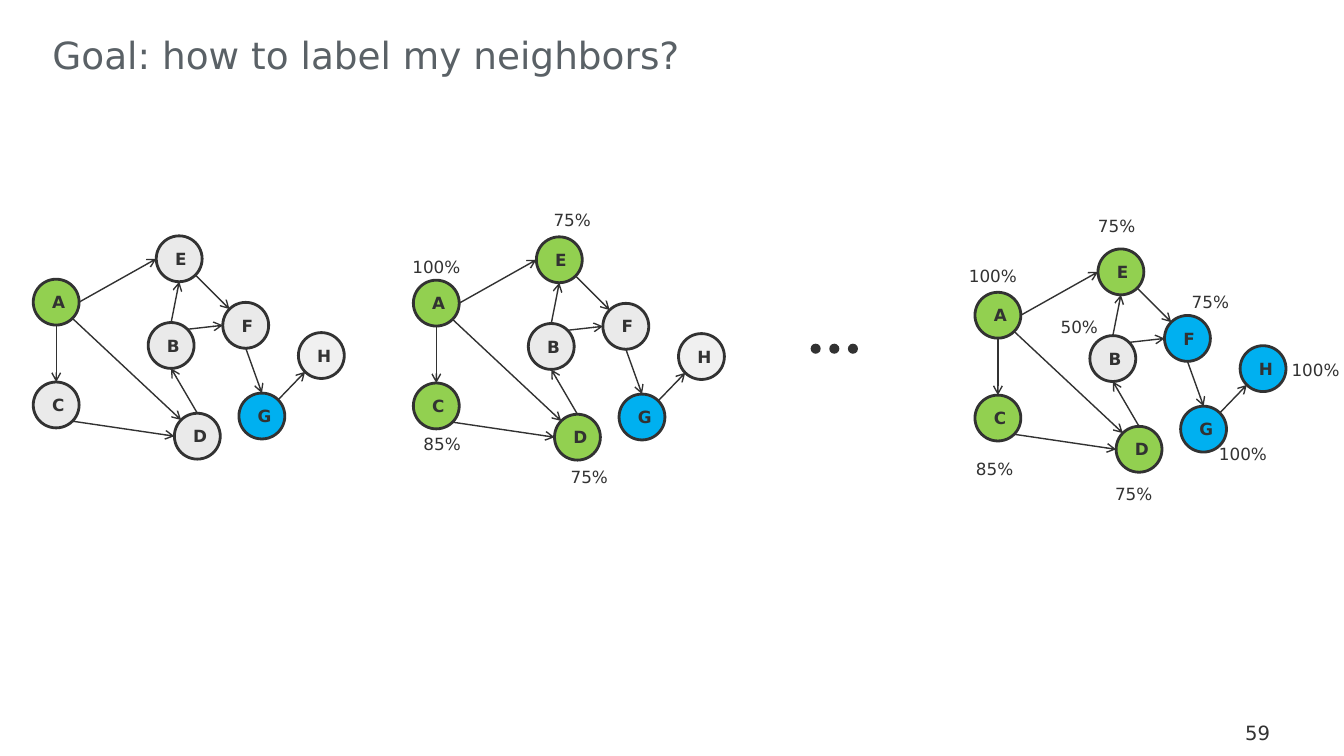
from math import sqrt

from lxml import etree
from pptx import Presentation
from pptx.dml.color import RGBColor
from pptx.enum.shapes import MSO_CONNECTOR, MSO_SHAPE
from pptx.enum.text import MSO_ANCHOR, PP_ALIGN
from pptx.oxml.ns import qn
from pptx.util import Inches, Pt

OVAL, STRAIGHT = MSO_SHAPE.OVAL, MSO_CONNECTOR.STRAIGHT
TOP, MIDDLE, BOTTOM = MSO_ANCHOR.TOP, MSO_ANCHOR.MIDDLE, MSO_ANCHOR.BOTTOM
LEFT, CENTER = PP_ALIGN.LEFT, PP_ALIGN.CENTER

DARK = RGBColor(0x32, 0x32, 0x32)
TITLE_GREY = RGBColor(0x5A, 0x61, 0x66)
GREEN = RGBColor(0x92, 0xD0, 0x50)
BLUE = RGBColor(0x00, 0xB0, 0xF0)
GREY = RGBColor(0xEA, 0xEA, 0xEA)
PALE = RGBColor(0xF0, 0xF0, 0xF0)
FONT = "DejaVu Sans"

# Content: node positions relative to A, and edges with their attachment sides
TITLE = "Goal: how to label my neighbors?"
PAGE = "59"
NODES = {
    "A": (0, 0), "C": (0, 1.02), "B": (1.14, 0.43), "D": (1.4, 1.33),
    "E": (1.22, -0.43), "F": (1.88, 0.23), "G": (2.04, 1.13), "H": (2.63, 0.53),
}
EDGES = [
    ("A", "bottom", "C", "top"), ("A", "right", "E", "left"),
    ("A", "bottom right", "D", "top left"), ("C", "bottom right", "D", "left"),
    ("D", "top", "B", "bottom"), ("B", "top", "E", "bottom"),
    ("B", "top right", "F", "left"), ("E", "bottom right", "F", "top left"),
    ("F", "bottom", "G", "top"), ("G", "top right", "H", "bottom left"),
]
# Each stage: position of A, node colours other than grey, confidence labels
STAGES = [
    ((0.33, 2.77), {"A": GREEN, "G": BLUE, "H": PALE}, []),
    ((4.1, 2.78),
     {"A": GREEN, "C": GREEN, "D": GREEN, "E": GREEN, "G": BLUE, "H": PALE},
     [("75%", 5.49, 2.08), ("85%", 4.2, 4.3), ("75%", 5.66, 4.63),
      ("100%", 4.09, 2.55)]),
    ((9.67, 2.9),
     {"A": GREEN, "C": GREEN, "D": GREEN, "E": GREEN, "F": BLUE, "G": BLUE,
      "H": BLUE},
     [("75%", 10.89, 2.14), ("100%", 9.61, 2.64), ("85%", 9.68, 4.55),
      ("75%", 11.06, 4.8), ("50%", 10.52, 3.14), ("75%", 11.82, 2.89),
      ("100%", 12.09, 4.4), ("100%", 12.81, 3.57)]),
]
NODE_SIZE = 0.455
DOT_SIZE, DOT_LEFT, DOT_TOP, DOT_STEP = 0.1, 8.04, 3.41, 0.185
DIRECTIONS = {"top": (0, -1), "bottom": (0, 1), "left": (-1, 0), "right": (1, 0)}

prs = Presentation()
prs.slide_width, prs.slide_height = Inches(13.33), Inches(7.5)
s = prs.slides.add_slide(prs.slide_layouts[6])


def write(sp, text, size, color=DARK, bold=False, align=LEFT, anchor=TOP,
          margins=(0, 0, 0, 0), wrap=True):
    tf = sp.text_frame
    sides = ("margin_left", "margin_top", "margin_right", "margin_bottom")
    frame_format = {side: Inches(m) for side, m in zip(sides, margins)}
    frame_format.update(word_wrap=wrap, vertical_anchor=anchor)
    for name, value in frame_format.items():
        setattr(tf, name, value)
    p = tf.paragraphs[0]
    p.alignment = align
    r = p.add_run()
    r.text = text
    for name, value in {"name": FONT, "size": Pt(size), "bold": bold}.items():
        setattr(r.font, name, value)
    r.font.color.rgb = color


def add_text(box, text, size, **options):
    write(s.shapes.add_textbox(*map(Inches, box)), text, size, **options)


def add_circle(x, y, size, fill):
    sp = s.shapes.add_shape(OVAL, *map(Inches, (x, y, size, size)))
    sp.shadow.inherit = False
    sp.fill.solid()
    sp.fill.fore_color.rgb = fill
    sp.line.fill.background()
    return sp


def add_node(name, x, y, fill):
    sp = add_circle(x, y, NODE_SIZE, fill)
    sp.line.color.rgb = DARK
    sp.line.width = Pt(2)
    write(sp, name, 12, bold=True, align=CENTER, anchor=MIDDLE,
          margins=(0.12, 0.08, 0.12, 0.08))


def rim_point(origin, name, side):
    """Point on a node's rim in the direction named by side."""
    steps = [DIRECTIONS[word] for word in side.split()]
    reach = NODE_SIZE / 2 / sqrt(len(steps))
    return [Inches(o + n + NODE_SIZE / 2 + reach * sum(d))
            for o, n, d in zip(origin, NODES[name], zip(*steps))]


def add_arrow(start, end):
    line = s.shapes.add_connector(STRAIGHT, *start, *end)
    line.line.color.rgb = DARK
    line.line.width = Pt(1)
    etree.SubElement(line.line._get_or_add_ln(), qn("a:tailEnd"), type="arrow")
    etree.SubElement(line._element.spPr, qn("a:effectLst"))


# Title and page number
add_text((0.52, 0.16, 10.03, 0.61), TITLE, 26.7, color=TITLE_GREY,
         margins=(0, 0.16, 0, 0))
add_text((12.23, 7.09, 0.84, 0.29), PAGE, 14, anchor=BOTTOM,
         margins=(0.12, 0, 0, 0))

# Graph stages
for origin, colors, labels in STAGES:
    for name, (dx, dy) in NODES.items():
        add_node(name, origin[0] + dx, origin[1] + dy, colors.get(name, GREY))
    for tail, tail_side, head, head_side in EDGES:
        add_arrow(rim_point(origin, tail, tail_side),
                  rim_point(origin, head, head_side))
    for text, x, y in labels:
        add_text((x, y, 0.53, 0.31), text, 12, wrap=False)

# Ellipsis between stages
for i in range(3):
    add_circle(DOT_LEFT + i * DOT_STEP, DOT_TOP, DOT_SIZE, DARK)

prs.save("out.pptx")
